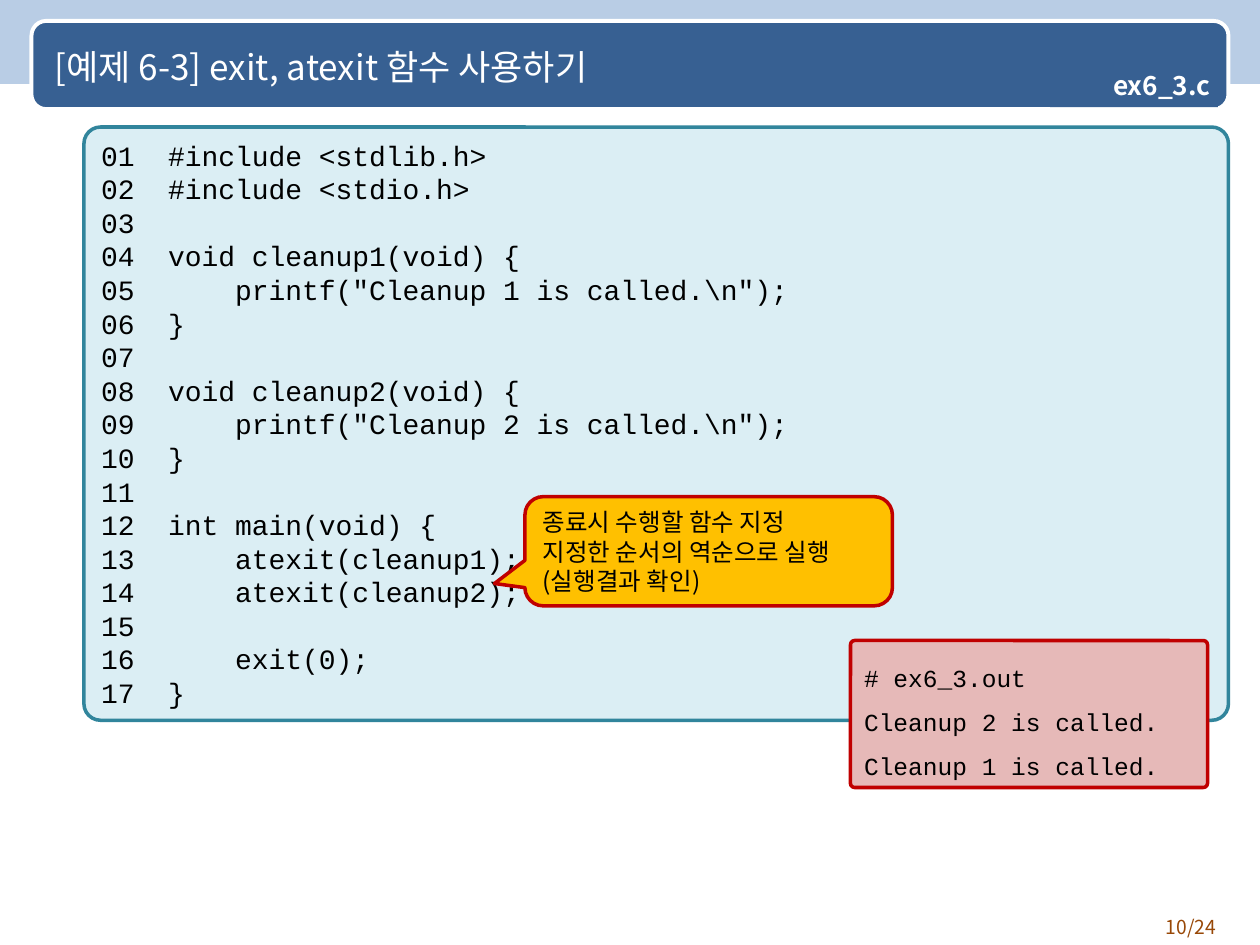
from lxml.etree import SubElement
from pptx import Presentation
from pptx.dml.color import RGBColor
from pptx.enum.shapes import MSO_SHAPE as Preset
from pptx.enum.text import MSO_ANCHOR as Anchor, MSO_AUTO_SIZE as AutoSize, PP_ALIGN as Align
from pptx.oxml.ns import qn
from pptx.util import Inches, Pt

WIDTH, HEIGHT = Inches(10), Inches(7.5)
COLUMNS, ROWS = 120, 90
SANS, MONO = "Noto Sans CJK KR", "Courier New"
BLUE, WHITE, BLACK, RED = "376092", "FFFFFF", "000000", "C00000"
CODE = r'''#include <stdlib.h>
#include <stdio.h>

void cleanup1(void) {
    printf("Cleanup 1 is called.\n");
}

void cleanup2(void) {
    printf("Cleanup 2 is called.\n");
}

int main(void) {
    atexit(cleanup1);
    atexit(cleanup2);

    exit(0);
}'''


def color(value):
    """Turn a hex string into a colour."""
    return RGBColor.from_string(value)


def cell_box(column, row, columns, rows):
    """Turn grid cells into left, top, width and height."""
    across, down = WIDTH / COLUMNS, HEIGHT / ROWS
    return int(column * across), int(row * down), int(columns * across), int(rows * down)


def write(shape, lines, size, font=SANS, ink=BLACK, align=Align.LEFT, bold=False, spacing=1.2):
    """Write lines into a shape, one paragraph each."""
    frame = shape.text_frame
    frame.word_wrap = True
    frame.auto_size = AutoSize.NONE
    frame.vertical_anchor = Anchor.MIDDLE
    for index, line in enumerate(lines):
        paragraph = frame.add_paragraph() if index else frame.paragraphs[0]
        paragraph.alignment = align
        paragraph.line_spacing = Pt(size * spacing)
        run = paragraph.add_run()
        run.text = line
        run.font.size, run.font.bold = Pt(size), bold
        run.font.color.rgb = color(ink)
        run.font.name = font
        SubElement(run.font._element, qn("a:ea"), typeface=SANS)


def add_panel(slide, preset, box, fill, line=None, line_width=2, adjustments=()):
    """Add a filled preset shape, outlined when a line colour is given."""
    shape = slide.shapes.add_shape(preset, *cell_box(*box))
    shape.shadow.inherit = False
    shape.fill.solid()
    shape.fill.fore_color.rgb = color(fill)
    if line:
        shape.line.color.rgb = color(line)
        shape.line.width = Pt(line_width)
    else:
        shape.line.fill.background()
    for index, value in enumerate(adjustments):
        shape.adjustments[index] = value
    return shape


def add_header(slide):
    """Add the title bar, the title and the file name."""
    add_panel(slide, Preset.RECTANGLE, (0, 0, COLUMNS, 8), "B9CDE5")
    add_panel(slide, Preset.ROUNDED_RECTANGLE, (3, 2, 114, 8.4), BLUE, WHITE, 2.25, [0.167])
    title = slide.shapes.title
    title.left, title.top, title.width, title.height = cell_box(4, 2.3, 111, 8)
    write(title, ["[예제 6-3] exit, atexit 함수 사용하기"], 20, ink=WHITE)
    title.element.getparent().append(title.element)
    file_label = add_panel(slide, Preset.RECTANGLE, (100, 6, 16, 4.2), BLUE)
    file_label.text_frame.margin_right = Inches(0.06)
    write(file_label, ["ex6_3.c"], 15, ink=WHITE, align=Align.RIGHT, bold=True)


def add_page_number(slide):
    """Add the page number at the lower right."""
    page_number = slide.shapes.add_textbox(*cell_box(107, 86.5, 10, 3.5))
    write(page_number, ["10/24"], 11, ink="984807", align=Align.RIGHT)


def add_program(slide):
    """Add the numbered listing, its output and the callout."""
    listing = add_panel(slide, Preset.ROUNDED_RECTANGLE, (8, 12.1, 109, 56.5),
                        "DBEEF4", "31859C", adjustments=[0.028])
    numbered = [f"{number:02}  {line}".rstrip()
                for number, line in enumerate(CODE.splitlines(), 1)]
    write(listing, numbered, 16, MONO, align=Align.JUSTIFY)
    output = add_panel(slide, Preset.ROUNDED_RECTANGLE, (81, 61, 34, 14),
                       "E6B9B8", RED, adjustments=[0.028])
    write(output, ["# ex6_3.out", "Cleanup 2 is called.", "Cleanup 1 is called."],
          14, MONO, align=Align.JUSTIFY, spacing=1.8)
    callout = add_panel(slide, Preset.ROUNDED_RECTANGULAR_CALLOUT, (50, 47.3, 35, 10.4),
                        "FFC000", RED, adjustments=[-0.583, 0.296, 0.167])
    write(callout, ["종료시 수행할 함수 지정", "지정한 순서의 역순으로 실행(실행결과 확인)"], 14)


def main():
    """Build and save the slide."""
    presentation = Presentation()
    presentation.slide_width, presentation.slide_height = WIDTH, HEIGHT
    slide = presentation.slides.add_slide(presentation.slide_layouts[5])
    add_header(slide)
    add_page_number(slide)
    add_program(slide)
    presentation.save("out.pptx")


if __name__ == "__main__":
    main()
